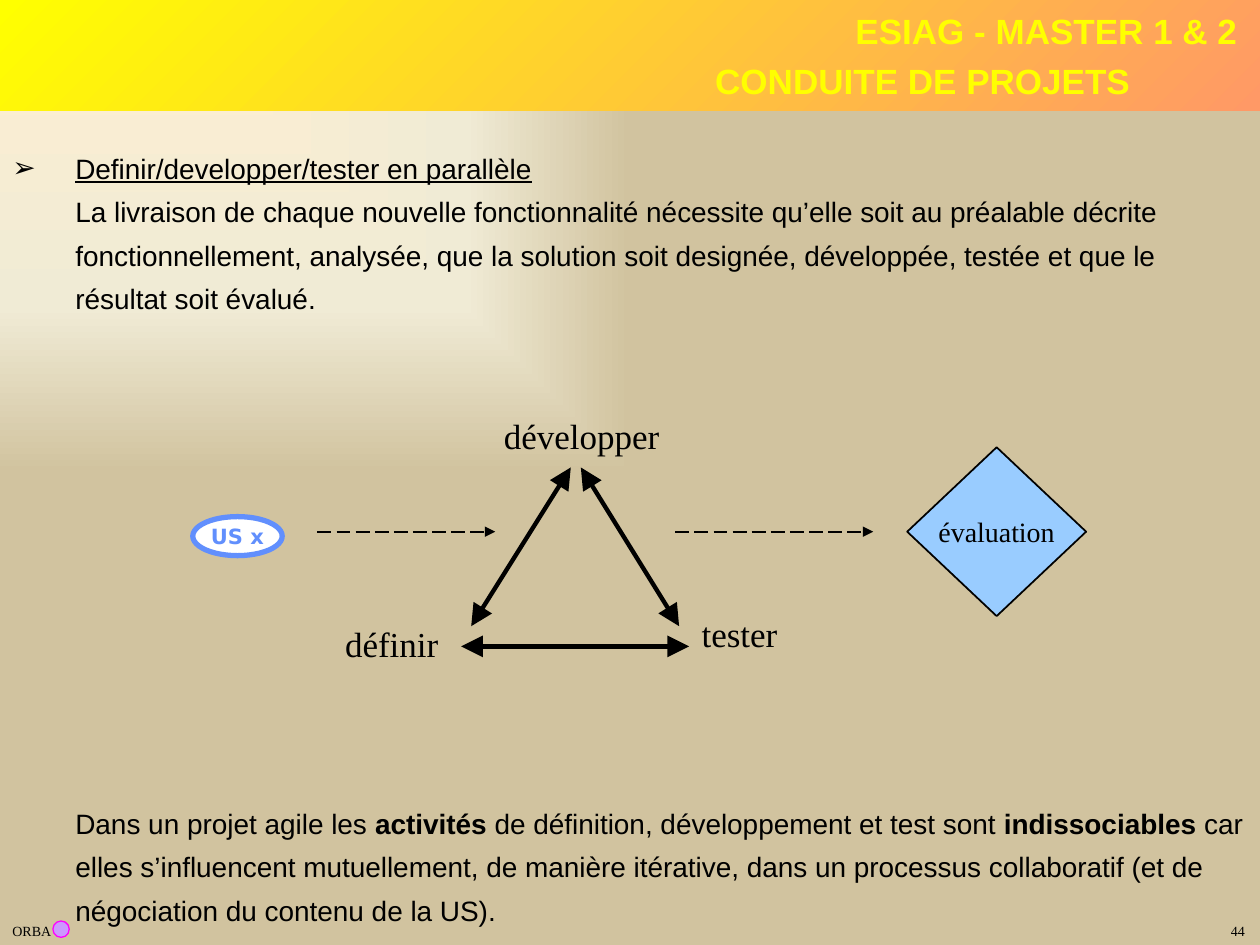
from lxml.etree import SubElement
from pptx import Presentation
from pptx.dml.color import RGBColor
from pptx.enum.dml import MSO_LINE
from pptx.enum.shapes import MSO_CONNECTOR, MSO_SHAPE
from pptx.enum.text import MSO_ANCHOR, PP_ALIGN
from pptx.oxml.ns import qn
from pptx.util import Inches, Pt

COLORS = {
    "black": "000000", "white": "FFFFFF", "yellow": "FFFF00", "orange": "FF9966",
    "blue": "618FFD", "sky": "99CCFF", "lilac": "CC99FF", "magenta": "FF00FF",
    "cream": "FFEFD1", "ivory": "F0EBD5", "sand": "D1C39F",
}
SERIF = "Times New Roman"


def rgb(name):
    return RGBColor.from_string(COLORS[name])


def style(font, size, name, color="black", bold=False):
    font.size, font.name, font.bold = Pt(size), name, bold
    font.color.rgb = rgb(color)


def add_text(page, box, text, size, name=SERIF, color="black", bold=False):
    label = page.shapes.add_textbox(*map(Inches, box))
    frame = label.text_frame
    frame.text = text
    frame.word_wrap = False
    frame.margin_right = 0
    style(frame.paragraphs[0].runs[0].font, size, name, color, bold)
    return label


def add_shape(page, kind, box, fill, line=None, width=1):
    shape = page.shapes.add_shape(kind, *map(Inches, box))
    shape.shadow.inherit = False
    if fill:
        shape.fill.solid()
        shape.fill.fore_color.rgb = rgb(fill)
    if line:
        shape.line.color.rgb = rgb(line)
        shape.line.width = Pt(width)
    else:
        shape.line.fill.background()
    return shape


def add_node(page, kind, box, text, font, fill, line, width):
    node = add_shape(page, kind, box, fill, line, width)
    frame = node.text_frame
    frame.text = text
    frame.word_wrap = False
    frame.vertical_anchor = MSO_ANCHOR.MIDDLE
    para = frame.paragraphs[0]
    para.alignment = PP_ALIGN.CENTER
    style(para.runs[0].font, *font)


def add_arrow(page, start, end, width, ends, head_size="med", dash=None):
    arrow = page.shapes.add_connector(
        MSO_CONNECTOR.STRAIGHT, *map(Inches, (*start, *end)))
    arrow.line.color.rgb = rgb("black")
    arrow.line.width = Pt(width)
    if dash:
        arrow.line.dash_style = dash
    properties = arrow.element.spPr
    for tag in ends:
        SubElement(properties.find(qn("a:ln")), qn(tag),
                   type="triangle", w=head_size, len=head_size)
    SubElement(properties, qn("a:effectLst"))


def paint_background(page):
    """Gradient spreading from the top left corner."""
    page.background.fill.gradient()
    gradient = page.element.find(".//" + qn("a:gradFill"))
    for child in list(gradient):
        gradient.remove(child)
    stops = SubElement(gradient, qn("a:gsLst"))
    for position, name in ((0, "cream"), (65, "ivory"), (100, "sand")):
        stop = SubElement(stops, qn("a:gs"), pos=str(position * 1000))
        SubElement(stop, qn("a:srgbClr"), val=COLORS[name])
    shade = SubElement(gradient, qn("a:path"))
    shade.set("path", "rect")
    SubElement(shade, qn("a:fillToRect"), r="100000", b="100000")


def add_header(page, box):
    left, top, width, height = box
    band = add_shape(page, MSO_SHAPE.RECTANGLE, box, None)
    band.fill.gradient()
    band.fill.gradient_angle = 315
    for stop, position, name in zip(band.fill.gradient_stops, (0, 1), ("yellow", "orange")):
        stop.position = position
        stop.color.rgb = rgb(name)
    # Two titles, each with its own right edge
    for text, right, offset in (("ESIAG - MASTER 1 & 2", 0.18, 0.04),
                                ("CONDUITE DE PROJETS", 1.03, 0.44)):
        title = add_text(page, (left + 4, top + offset, width - 4 - right, 0.4),
                         text, 20, "Arial", "yellow", True)
        frame = title.text_frame
        frame.word_wrap = True
        frame.margin_top = frame.margin_bottom = 0
        frame.vertical_anchor = MSO_ANCHOR.MIDDLE
        frame.paragraphs[0].alignment = PP_ALIGN.RIGHT


def add_body(page, box, paragraphs):
    """Each paragraph is (bulleted, [(text, emphasis), ...])."""
    frame = page.shapes.add_textbox(*map(Inches, box)).text_frame
    frame.word_wrap = True
    for index, (bulleted, spans) in enumerate(paragraphs):
        para = frame.add_paragraph() if index else frame.paragraphs[0]
        para.line_spacing = 1.3
        properties = para._p.get_or_add_pPr()
        properties.set("marL", str(Inches(0.5)))
        properties.set("indent", str(Inches(-0.5 if bulleted else 0)))
        if bulleted:
            SubElement(properties, qn("a:buFont"), typeface="Arial")
            SubElement(properties, qn("a:buChar"), char="➢")
        for text, emphasis in spans:
            span = para.add_run()
            span.text = text
            style(span.font, 16, "Arial", bold=emphasis == "bold")
            span.font.underline = emphasis == "underline"


def add_diagram(page, box):
    left, top = box[:2]

    def at(x, y, *size):
        return (left + x, top + y, *size)

    # Activities
    for text, x, y, width in (("définir", 1.11, 1.65, 0.94),
                              ("développer", 2.37, 0, 1.43),
                              ("tester", 3.94, 1.57, 0.8)):
        add_text(page, at(x, y, width, 0.43), text, 20)

    # Triangle of two-way arrows
    for start, end in (((2.21, 1.73), (3, 0.47)),
                       ((2.13, 1.89), (3.94, 1.89)),
                       ((3.08, 0.47), (3.86, 1.73))):
        add_arrow(page, at(*start), at(*end), 2.5, ("a:headEnd", "a:tailEnd"), "lg")

    # Flow in and out
    for start, end in ((0.99, 2.4), (3.83, 5.4)):
        add_arrow(page, at(start, 0.98), at(end, 0.98), 1, ("a:tailEnd",),
                  dash=MSO_LINE.LONG_DASH)
    add_node(page, MSO_SHAPE.OVAL, at(0, 0.86, 0.71, 0.31), "US x",
             (12, "DejaVu Sans", "blue", True), "white", "blue", 3)
    add_node(page, MSO_SHAPE.DIAMOND, at(5.67, 0.31, 1.42, 1.34), "évaluation",
             (16, SERIF), "sky", "black", 1)


def add_footer(page, box):
    left, top, width, height = box
    add_text(page, (left, top, 0.47, height), "ORBA", 8)
    add_shape(page, MSO_SHAPE.OVAL, (left + 0.42, top + 0.04, 0.13, 0.13),
              "lilac", "magenta", 0.75)
    add_text(page, (left + width - 0.33, top, 0.33, height), "44", 8)


def main():
    deck = Presentation()
    deck.slide_width, deck.slide_height = Inches(10), Inches(7.5)
    page = deck.slides.add_slide(deck.slide_layouts[6])
    paint_background(page)
    add_header(page, (0, 0, 10, 0.88))
    add_footer(page, (0, 7.27, 10, 0.23))
    add_body(page, (0, 1.07, 10, 1.5), [
        (True, [("Definir/developper/tester en parallèle", "underline")]),
        (False, [("La livraison de chaque nouvelle fonctionnalité nécessite qu’elle soit "
                  "au préalable décrite fonctionnellement, analysée, que la solution soit "
                  "designée, développée, testée et que le résultat soit évalué.", None)]),
    ])
    add_body(page, (0, 6.27, 10, 1.15), [
        (False, [("Dans un projet agile les ", None), ("activités", "bold"),
                 (" de définition, développement et test sont ", None),
                 ("indissociables", "bold"),
                 (" car elles s’influencent mutuellement, de manière itérative, dans un "
                  "processus collaboratif (et de négociation du contenu de la US).", None)]),
    ])
    add_diagram(page, (1.53, 3.24, 7.09, 2.08))
    deck.save("out.pptx")


if __name__ == "__main__":
    main()
